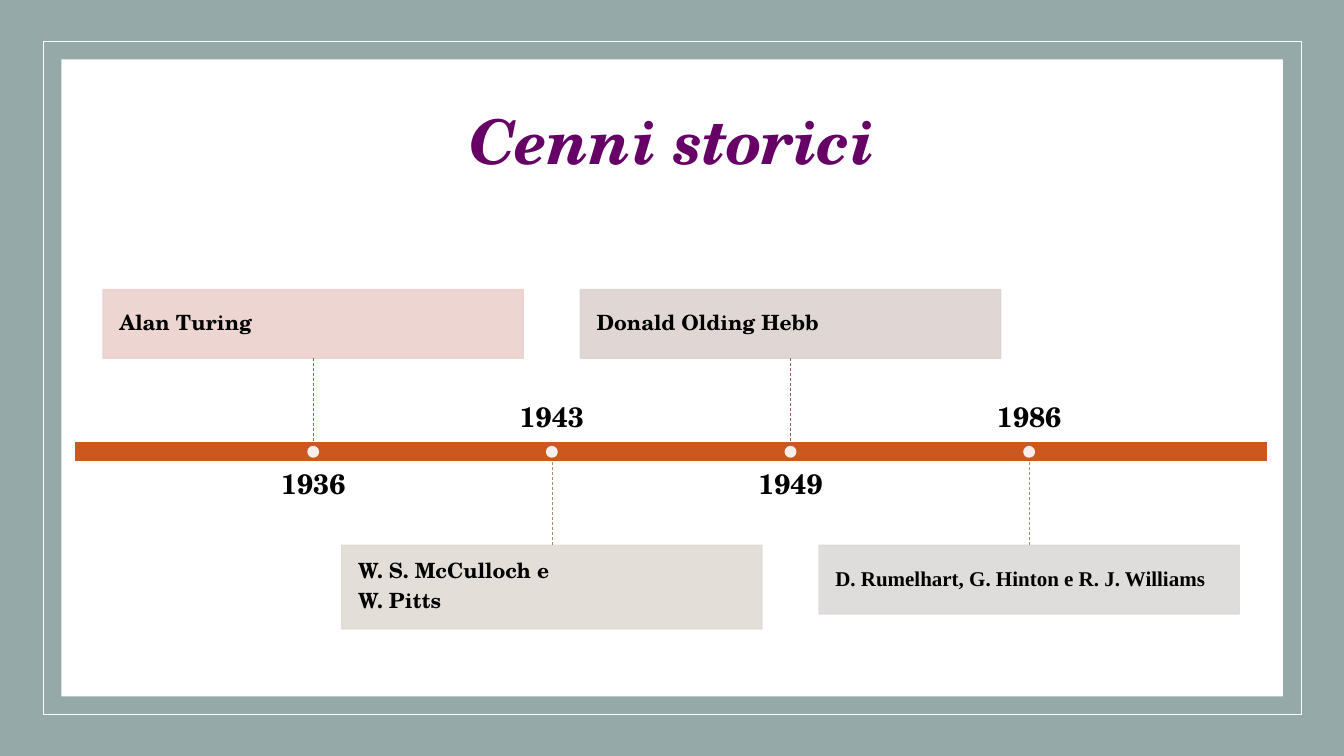
from lxml.etree import SubElement
from pptx import Presentation
from pptx.dml.color import RGBColor
from pptx.enum.dml import MSO_LINE
from pptx.enum.shapes import MSO_CONNECTOR, MSO_SHAPE
from pptx.enum.text import MSO_ANCHOR as ANCHOR, PP_ALIGN as ALIGN
from pptx.oxml.ns import qn
from pptx.util import Cm, Pt

WIDTH, HEIGHT = 33.87, 19.05
SCHOLA, TIMES = "TeX Gyre Schola", "Times New Roman"
PANEL = (1.55, 1.5, 30.78, 16.05)
BAR = (1.88, 11.13, 30.07, 0.51)
CARD_W, STEM, DOT = 10.59, 2.1, 0.3
YEAR_W, YEAR_H, YEAR_GAP = 9.63, 1.4, 0.21
EVENTS = [
    ("1936", ["Alan Turing"], SCHOLA, "ECD1CD", "CB581F", 1.73),
    ("1943", ["W. S. McCulloch e", "W. Pitts"], SCHOLA, "E0DBD4", "A28E6A", 2.11),
    ("1949", ["Donald Olding Hebb"], SCHOLA, "DDD3D0", "956251", 1.73),
    ("1986", ["D. Rumelhart, G. Hinton e R. J. Williams"], TIMES, "DCD9D9", "A28E6A", 1.73),
]


def paint(fill, color, alpha=100):
    """Give a fill a solid colour with an opacity in percent."""
    fill.solid()
    fill.fore_color.rgb = RGBColor.from_string(color)
    if alpha < 100:
        clr = fill._xPr.find(qn("a:solidFill"))[0]
        SubElement(clr, qn("a:alpha"), val=str(alpha * 1000))


def add_block(s, box, fill=None, line=None, width=1, alpha=100, kind=MSO_SHAPE.RECTANGLE):
    """Draw a flat preset shape in the box."""
    sp = s.shapes.add_shape(kind, *map(Cm, box))
    sp.shadow.inherit = False
    if fill:
        paint(sp.fill, fill, alpha)
    else:
        sp.fill.background()
    if line:
        paint(sp.line.fill, line, alpha)
        sp.line.width = Pt(width)
    else:
        sp.line.fill.background()
    return sp


def write(sp, lines, size, name=SCHOLA, color="000000", align=ALIGN.CENTER,
          anchor=ANCHOR.MIDDLE, margin=0, italic=False):
    """Fill a shape with bold paragraphs."""
    tf = sp.text_frame
    frame = {"word_wrap": True, "vertical_anchor": anchor}
    frame.update({f"margin_{side}": Cm(margin) for side in ("left", "top", "right", "bottom")})
    for key, value in frame.items():
        setattr(tf, key, value)
    for i, line in enumerate(lines):
        p = tf.add_paragraph() if i else tf.paragraphs[0]
        p.alignment, p.line_spacing = align, 0.9
        if i < len(lines) - 1:
            p.space_after = Pt(size * 0.35)
        r = p.add_run()
        r.text = line
        font = {"name": name, "size": Pt(size), "bold": True, "italic": italic}
        for key, value in font.items():
            setattr(r.font, key, value)
        r.font.color.rgb = RGBColor.from_string(color)


def add_frame(s, box):
    """Draw the coloured border, its thin outline and the white panel."""
    x, y, w, h = box
    gap = 0.46
    add_block(s, (0, 0, WIDTH, HEIGHT), "96A9A9")
    add_block(s, (x - gap, y - gap, w + 2 * gap, h + 2 * gap), line="FFFFFF", width=0.5)
    add_block(s, box, "FFFFFF")


def add_title(s, box):
    """Place the title near the top of the panel."""
    x, y, w, _ = box
    sp = s.shapes.add_textbox(*map(Cm, (x, y + 1.01, w, 2.29)))
    write(sp, ["Cenni storici"], 44, color="660066", italic=True)


def add_stem(s, card, site, x, end_y, color):
    """Join a card to the bar with a dashed line."""
    cxn = s.shapes.add_connector(MSO_CONNECTOR.STRAIGHT, Cm(x), Cm(end_y), Cm(x), Cm(end_y))
    cxn.begin_connect(card, site)
    cxn.end_x = cxn.begin_x
    cxn.end_y = Cm(end_y)
    paint(cxn.line.fill, color)
    cxn.line.width, cxn.line.dash_style = Pt(0.5), MSO_LINE.DASH
    SubElement(cxn._element.spPr, qn("a:effectLst"))


def add_event(s, bar, x, event, above):
    """Place one event's card, stem, year and dot around x on the bar."""
    year, names, font, fill, stem, card_h = event
    _, top, _, h = bar
    bottom = top + h
    card_y = top - STEM - card_h if above else bottom + STEM
    year_y = bottom + YEAR_GAP if above else top - YEAR_GAP - YEAR_H

    card = add_block(s, (x - CARD_W / 2, card_y, CARD_W, card_h), fill, fill, alpha=90)
    write(card, names, 15, font, align=ALIGN.LEFT, margin=0.41)
    add_stem(s, card, 2 if above else 0, x, top if above else bottom, stem)

    label = s.shapes.add_textbox(*map(Cm, (x - YEAR_W / 2, year_y, YEAR_W, YEAR_H)))
    write(label, [year], 20, anchor=ANCHOR.TOP if above else ANCHOR.BOTTOM)
    add_block(s, (x - DOT / 2, top + (h - DOT) / 2, DOT, DOT), "FFFFFF",
              alpha=90, kind=MSO_SHAPE.OVAL)


def add_timeline(s, bar):
    """Draw the bar and spread the events evenly, alternately above and below."""
    x, _, w, _ = bar
    add_block(s, bar, "CB581F", "FFFFFF")
    step = w / (len(EVENTS) + 1)
    for i, event in enumerate(EVENTS):
        add_event(s, bar, x + step * (i + 1), event, above=i % 2 == 0)


def main():
    """Build and save the slide."""
    prs = Presentation()
    prs.slide_width, prs.slide_height = Cm(WIDTH), Cm(HEIGHT)
    s = prs.slides.add_slide(prs.slide_layouts[6])
    add_frame(s, PANEL)
    add_title(s, PANEL)
    add_timeline(s, BAR)
    prs.save("out.pptx")


if __name__ == "__main__":
    main()
